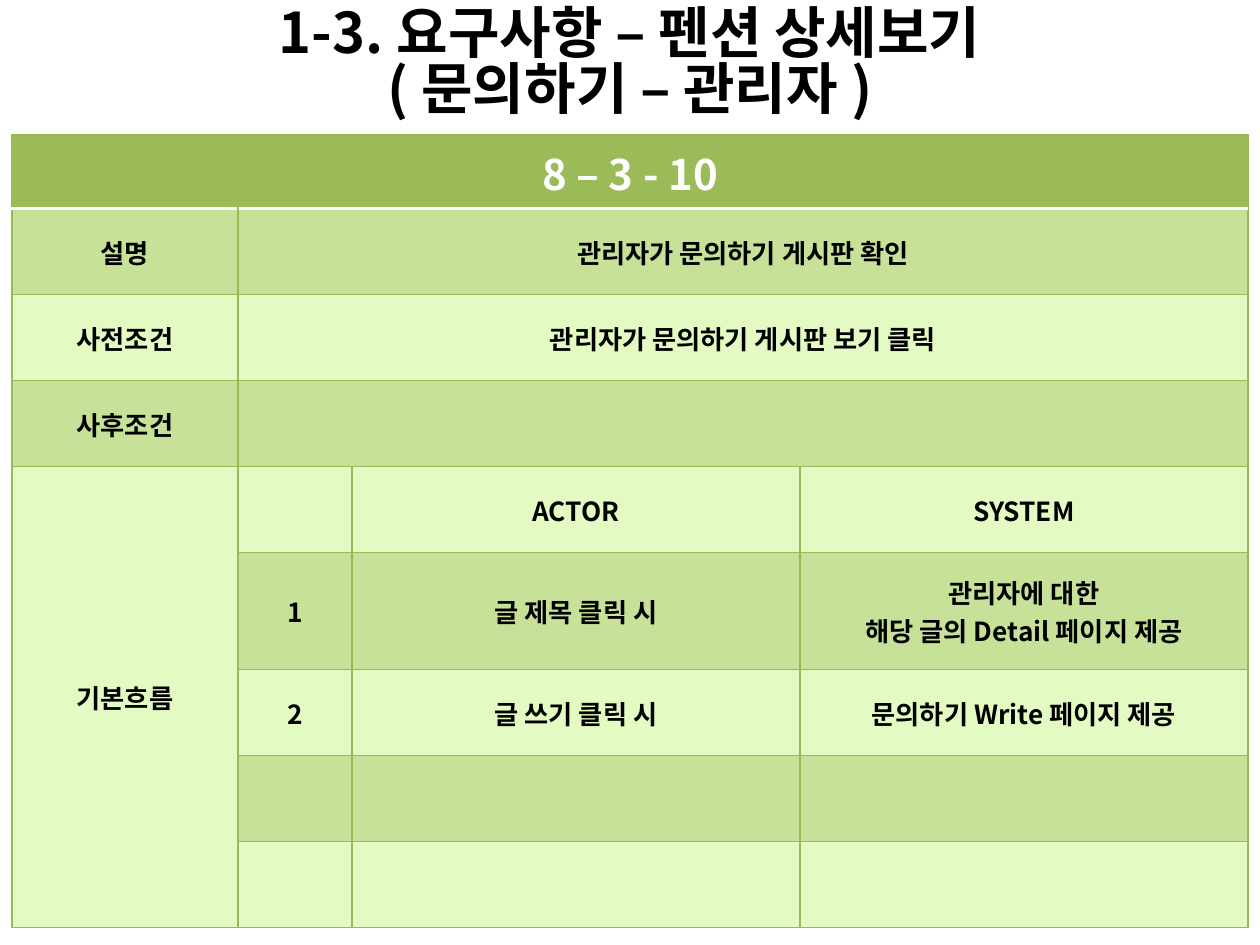
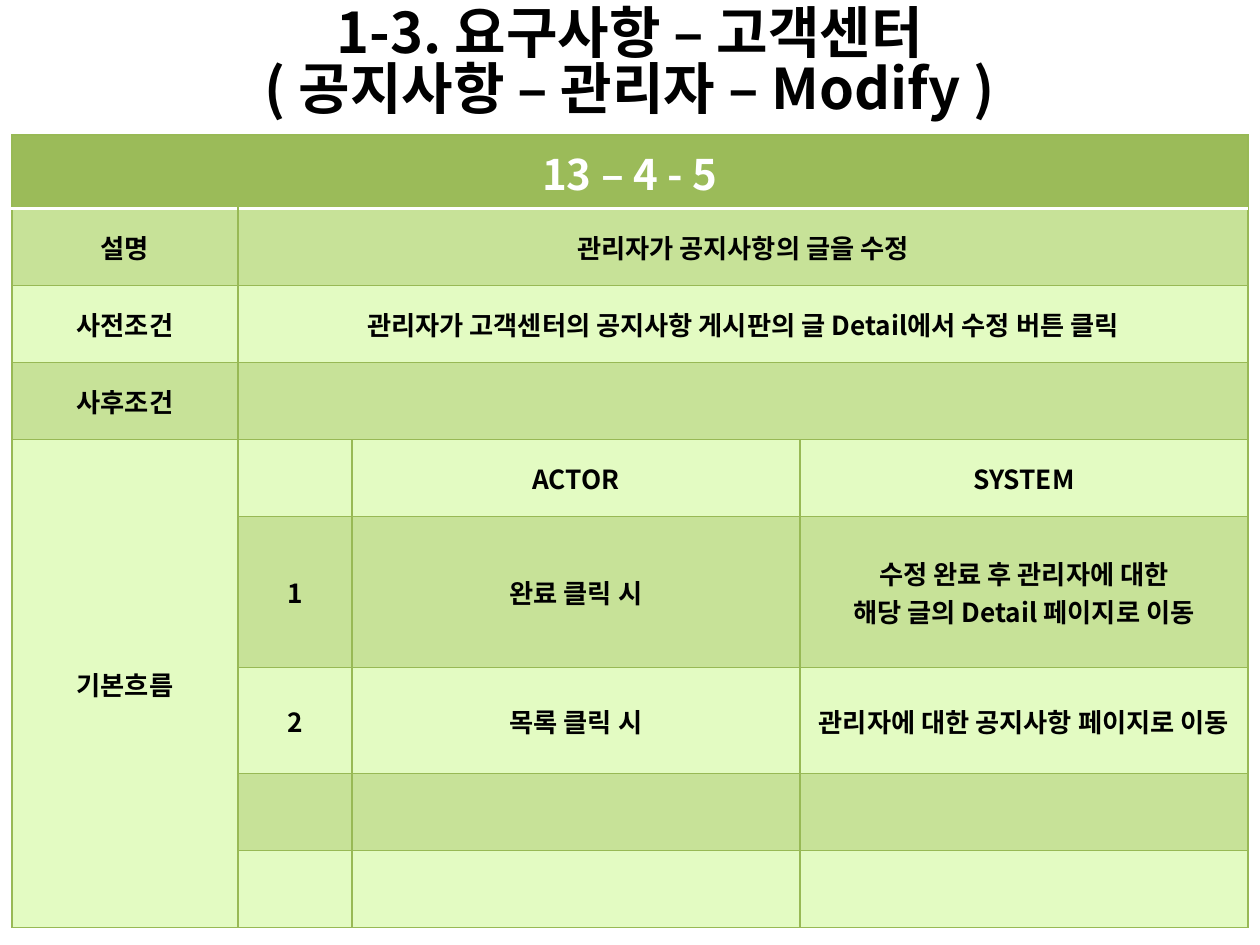
"""Build two requirement slides, each a title above a use-case table."""
from lxml.etree import SubElement
from pptx import Presentation
from pptx.dml.color import RGBColor
from pptx.enum.text import MSO_ANCHOR as Anchor, PP_ALIGN as Align
from pptx.oxml.ns import qn
from pptx.util import Pt

EMU_PER_PX = 914400 / 126
FONT = "Noto Sans CJK KR"
COLORS = {"text": "000000", "header": "9BBB59", "dark": "C7E298",
          "light": "E3FBC2", "border": "98B955", "white": "FFFFFF"}
COLUMN_WIDTHS = [226, 114, 448, 448]
HEADER_HEIGHT = 74
FLOW_ROW = 4

USE_CASES = [
    {"title": ["1-3. 요구사항 – 펜션 상세보기", "( 문의하기 – 관리자 )"],
     "number": "8 – 3 - 10",
     "description": "관리자가 문의하기 게시판 확인",
     "precondition": "관리자가 문의하기 게시판 보기 클릭",
     "steps": [("글 제목 클릭 시", "관리자에 대한\n해당 글의 Detail 페이지 제공"),
               ("글 쓰기 클릭 시", "문의하기 Write 페이지 제공")],
     "row_height": 86, "step_heights": [117, 86]},
    {"title": ["1-3. 요구사항 – 고객센터", "( 공지사항 – 관리자 – Modify )"],
     "number": "13 – 4 - 5",
     "description": "관리자가 공지사항의 글을 수정",
     "precondition": "관리자가 고객센터의 공지사항 게시판의 글 Detail에서 수정 버튼 클릭",
     "steps": [("완료 클릭 시", "수정 완료 후 관리자에 대한\n해당 글의 Detail 페이지로 이동"),
               ("목록 클릭 시", "관리자에 대한 공지사항 페이지로 이동")],
     "row_height": 77, "step_heights": [151, 106]},
]


def px(value):
    return round(value * EMU_PER_PX)


def add_run(paragraph, text, size, color):
    paragraph.alignment = Align.CENTER
    run = paragraph.add_run()
    run.text = text
    run.font.size = Pt(size)
    run.font.bold = True
    run.font.color.rgb = RGBColor.from_string(COLORS[color])
    run.font.name = FONT
    SubElement(run._r.get_or_add_rPr(), qn("a:ea"), typeface=FONT)


presentation = Presentation()
presentation.slide_width = px(1260)
presentation.slide_height = px(945)

for use_case in USE_CASES:
    slide = presentation.slides.add_slide(presentation.slide_layouts[6])

    title_frame = slide.shapes.add_textbox(px(63), px(-14), px(1134), px(158)).text_frame
    title_frame.word_wrap = True
    title_frame.vertical_anchor = Anchor.MIDDLE
    title_paragraph = title_frame.paragraphs[0]
    title_paragraph.line_spacing = 0.83
    first_line, second_line = use_case["title"]
    add_run(title_paragraph, first_line, 32, "text")
    title_paragraph.add_line_break()
    add_run(title_paragraph, second_line, 32, "text")

    rows = [
        [use_case["number"]],
        ["설명", use_case["description"]],
        ["사전조건", use_case["precondition"]],
        ["사후조건"],
        ["기본흐름", "", "ACTOR", "SYSTEM"],
    ]
    for number, (actor, system) in enumerate(use_case["steps"], 1):
        rows.append(["", str(number), actor, system])
    rows += [[], []]

    row_height = use_case["row_height"]
    row_heights = ([HEADER_HEIGHT] + [row_height] * FLOW_ROW
                   + use_case["step_heights"] + [row_height] * 2)
    table = slide.shapes.add_table(
        len(rows), len(COLUMN_WIDTHS), px(12), px(135),
        px(sum(COLUMN_WIDTHS)), px(sum(row_heights))).table
    table.horz_banding = False
    for column, width in zip(table.columns, COLUMN_WIDTHS):
        column.width = px(width)
    for row, height in zip(table.rows, row_heights):
        row.height = px(height)

    table.cell(0, 0).merge(table.cell(0, 3))
    for row_index in range(1, FLOW_ROW):
        table.cell(row_index, 1).merge(table.cell(row_index, 3))
    table.cell(FLOW_ROW, 0).merge(table.cell(len(rows) - 1, 0))

    for row_index, texts in enumerate(rows):
        fill_name = "header" if row_index == 0 else ("light", "dark")[row_index % 2]
        size, text_color = (24, "white") if row_index == 0 else (15, "text")
        for column_index in range(len(COLUMN_WIDTHS)):
            cell = table.cell(row_index, column_index)
            cell.vertical_anchor = Anchor.MIDDLE
            properties = cell._tc.get_or_add_tcPr()
            for side in ("L", "R", "T", "B"):
                under_header = (row_index, side) in ((0, "B"), (1, "T"))
                width, line_color = (2, "white") if under_header else (0.75, "border")
                line = SubElement(properties, qn(f"a:ln{side}"), w=str(Pt(width)))
                line_fill = SubElement(line, qn("a:solidFill"))
                SubElement(line_fill, qn("a:srgbClr"), val=COLORS[line_color])
            cell.fill.solid()
            cell.fill.fore_color.rgb = RGBColor.from_string(COLORS[fill_name])

        for column_index, text in enumerate(texts):
            if not text:
                continue
            frame = table.cell(row_index, column_index).text_frame
            for line_index, line_text in enumerate(text.split("\n")):
                paragraph = frame.add_paragraph() if line_index else frame.paragraphs[0]
                add_run(paragraph, line_text, size, text_color)

presentation.save("out.pptx")
